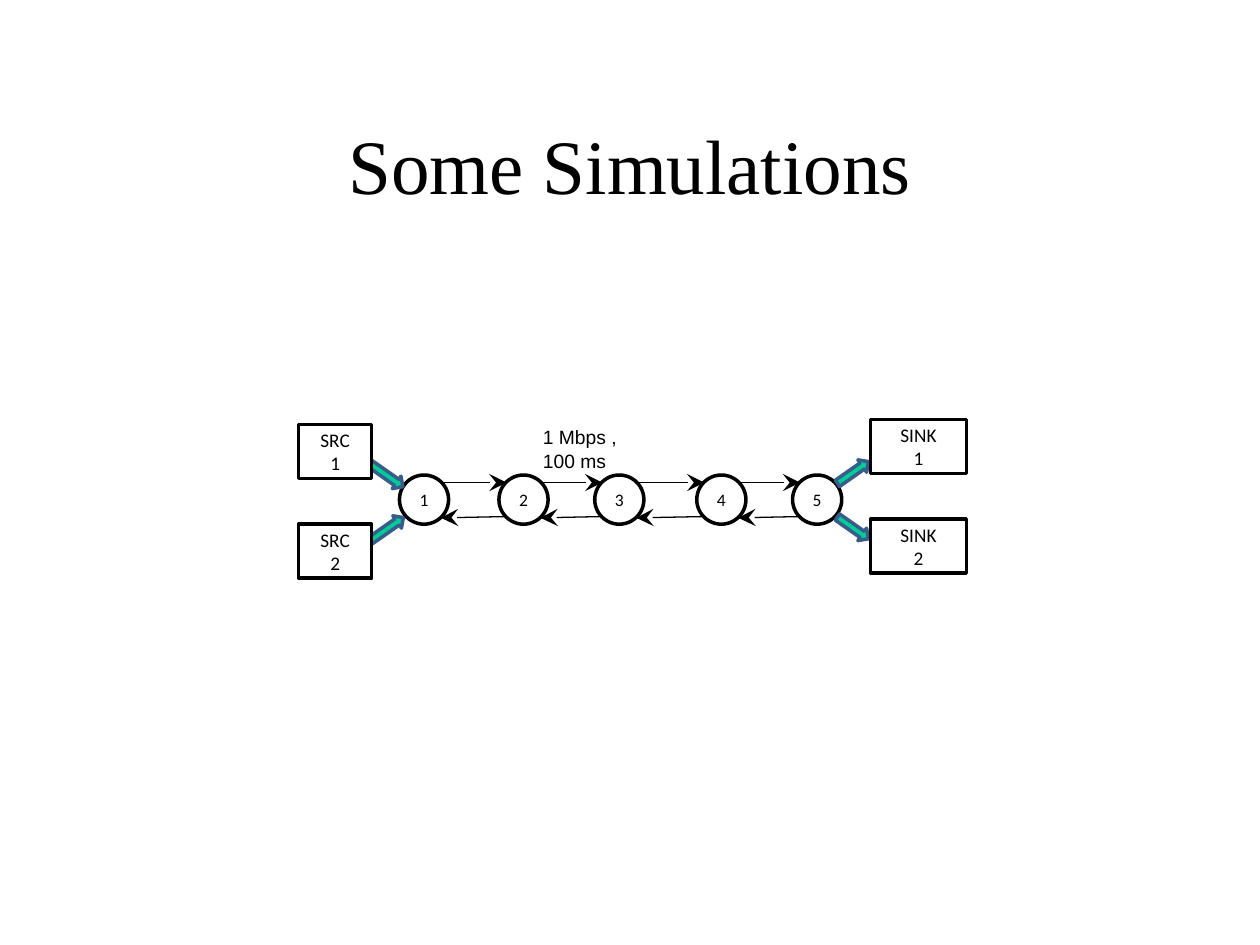
from dataclasses import dataclass
from itertools import pairwise

from lxml.etree import SubElement
from pptx import Presentation
from pptx.dml.color import RGBColor as RGB
from pptx.enum.shapes import MSO_CONNECTOR as Line, MSO_SHAPE as Kind
from pptx.enum.text import MSO_ANCHOR as Anchor, PP_ALIGN as Align
from pptx.oxml.ns import qn
from pptx.util import Inches, Pt


@dataclass(frozen=True)
class Theme:
    ink = RGB(0, 0, 0)
    paper = RGB(0xFF, 0xFF, 0xFF)
    green = RGB(0x00, 0xCC, 0x99)
    edge = RGB(0x38, 0x5D, 0x8A)
    title = ("Times New Roman", 44)
    node = ("Calibri", 10)
    host = ("Calibri", 11)
    label = ("Arial", 11)
    thick = Pt(2)
    thin = Pt(0.75)


theme = Theme()


def write(frame, lines, font, align=Align.CENTER, anchor=Anchor.MIDDLE, wrap=True):
    """Fill a frame with one paragraph, a line break between its lines."""
    frame.word_wrap = wrap
    frame.vertical_anchor = anchor
    para = frame.paragraphs[0]
    para.alignment = align
    for i, line in enumerate(lines):
        if i:
            para.add_line_break()
        run = para.add_run()
        run.text = line
        run.font.name, size = font
        run.font.size = Pt(size)
        run.font.color.rgb = theme.ink


def add_form(slide, kind, box, fill, edge):
    form = slide.shapes.add_shape(kind, *map(Inches, box))
    form.shadow.inherit = False
    if fill is None:
        form.fill.background()
    else:
        form.fill.solid()
        form.fill.fore_color.rgb = fill
    form.line.color.rgb = edge
    form.line.width = theme.thick
    return form


def add_text(slide, box, lines, font, **style):
    area = slide.shapes.add_textbox(*map(Inches, box))
    write(area.text_frame, lines, font, **style)


def add_link(slide, start, end):
    link = slide.shapes.add_connector(Line.STRAIGHT, *map(Inches, start + end))
    link.line.color.rgb = theme.ink
    link.line.width = theme.thin
    SubElement(link.line._get_or_add_ln(), qn("a:tailEnd"),
               type="stealth", w="lg", len="lg")
    SubElement(link._element.spPr, qn("a:effectLst"))


def add_chain(slide, box):
    """Numbered nodes in a row, linked both ways."""
    left, top, _, size = box
    spots = [left + step for step in (0, 0.79, 1.55, 2.36, 3.12)]
    for num, x in enumerate(spots, 1):
        node = add_form(slide, Kind.OVAL, (x, top, size, size), None, theme.ink)
        write(node.text_frame, [str(num)], theme.node)
    for x, after in pairwise(spots):
        a, b = x + size - 0.06, after + 0.06
        add_link(slide, (a, top + 0.06), (b, top + 0.06))
        add_link(slide, (b, top + 0.33), (a, top + 0.34))


def add_hosts(slide, box, name, arrows):
    """Two stacked hosts, each with a block arrow to or from the chain."""
    left, top, width, height = box
    for (x, y, long), turn in arrows:
        arrow = add_form(slide, Kind.RIGHT_ARROW, (left + x, top + y, long, 0.12),
                         theme.green, theme.edge)
        arrow.rotation = turn
    for i in range(2):
        host = add_form(slide, Kind.RECTANGLE,
                        (left, top + i * 0.79, width, height), theme.paper, theme.ink)
        write(host.text_frame, [name, str(i + 1)], theme.host)


def main():
    deck = Presentation()
    deck.slide_width, deck.slide_height = Inches(10), Inches(7.5)
    slide = deck.slides.add_slide(deck.slide_layouts[6])

    # Title
    add_text(slide, (0.75, 0.67, 8.5, 1.25), ["Some Simulations"], theme.title)

    # Network
    add_chain(slide, (3.17, 3.77, 3.51, 0.39))
    add_text(slide, (4.21, 3.33, 0.79, 0.47), ["1 Mbps ,", "100 ms"], theme.label,
             align=Align.LEFT, anchor=Anchor.TOP, wrap=False)

    # Sources and sinks
    add_hosts(slide, (2.37, 3.37, 0.58, 0.43), "SRC",
              [((0.5, 0.33, 0.36), 35), ((0.54, 0.77, 0.32), 325)])
    add_hosts(slide, (6.91, 3.33, 0.76, 0.43), "SINK",
              [((-0.29, 0.36, 0.3), 325), ((-0.29, 0.8, 0.3), 35)])

    deck.save("out.pptx")


if __name__ == "__main__":
    main()
